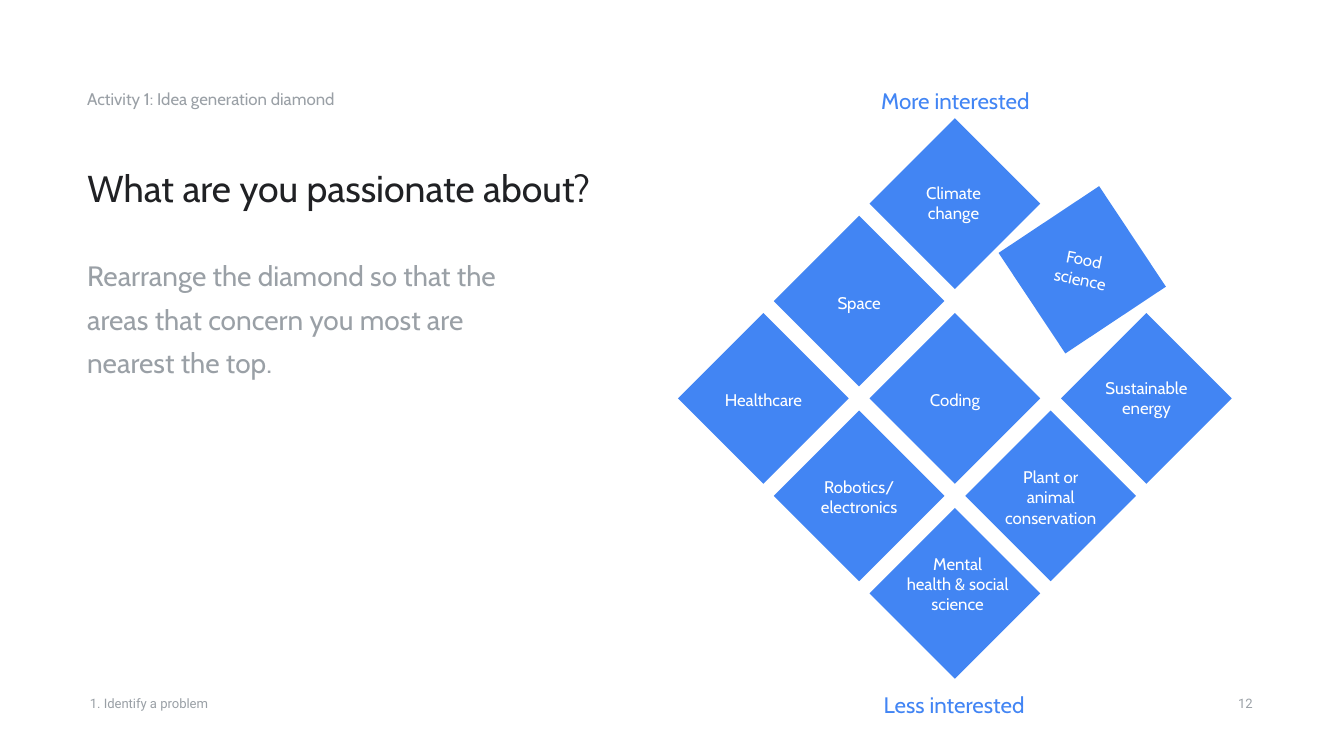
from dataclasses import dataclass
from typing import Optional

from pptx import Presentation
from pptx import util as u
from pptx.dml.color import RGBColor
from pptx.enum import shapes, text

WIDTH = 10
HEIGHT = WIDTH * 9 / 16
COLORS = {"blue": "4285F3", "caption": "4285F4", "ink": "202124",
          "gray": "9AA0A6", "white": "FFFFFF"}

DIAMOND = 1.27
COLUMN, ROW = 2.85 / 4, 2.9 / 4
CENTER_LEFT, TOP = 6.47, 0.88
LABEL_WIDTH, LABEL_HEIGHT = 0.97, 0.5


@dataclass(frozen=True)
class Style:
    size: float
    color: str
    font: str = "Cabin"
    align: text.PP_ALIGN = text.PP_ALIGN.LEFT
    anchor: text.MSO_ANCHOR = text.MSO_ANCHOR.TOP
    spacing: float = 1.0


@dataclass(frozen=True)
class Copy:
    words: str
    left: float
    top: float
    width: float
    height: float
    style: Style


@dataclass(frozen=True)
class Idea:
    words: str
    column: float
    row: float
    label_drop: float
    label_indent: float = 0.15
    tilt: float = 0


HEADING = Style(20, "ink", spacing=1.2)
BODY = Style(15, "gray", spacing=1.3)
ACTIVITY = Style(9, "gray", spacing=1.2)
CAPTION = Style(12, "caption", align=text.PP_ALIGN.CENTER, spacing=1.15)
LABEL = Style(9, "white", align=text.PP_ALIGN.CENTER)
FOOTER = Style(7, "gray", "Roboto", anchor=text.MSO_ANCHOR.MIDDLE)
PAGE = Style(7, "gray", "Roboto", text.PP_ALIGN.RIGHT, text.MSO_ANCHOR.MIDDLE)

QUESTION = Copy("What are you passionate about?", 5.5, 18.85, 47, 9.07, HEADING)
COPIES = [
    Copy("Rearrange the diamond so that the areas that concern you most are "
         "nearest the top.", 5.5, 31.11, 35.8, 53.87, BODY),
    Copy("More interested", 57.3, 9.25, 27.6, 8.89, CAPTION),
    Copy("Less interested", 57.2, 89.07, 27.6, 10.67, CAPTION),
    Copy("Activity 1: Idea generation diamond", 5.5, 9.42, 53.9, 11.2, ACTIVITY),
    Copy("12", 87.8, 89.24, 6.4, 7.65, PAGE),
    Copy("1. Identify a problem", 5.7, 89.24, 28.9, 7.65, FOOTER),
]

IDEAS = [
    Idea("Climate change", 0, 0, 0.38, 0.14),
    Idea("Space", -1, 1, 0.47),
    Idea("Food\nscience", 1.33, 0.68, 0.38, tilt=11.4),
    Idea("Coding", 0, 2, 0.47),
    Idea("Sustainable energy", 2, 2, 0.38),
    Idea("Plant or animal conservation", 1, 3, 0.32),
    Idea("Healthcare", -2, 2, 0.47),
    Idea("Robotics/\nelectronics", -1, 3, 0.39),
    Idea("Mental\nhealth & social science", 0, 4, 0.24, 0.17),
]


def color(name: str) -> RGBColor:
    return RGBColor.from_string(COLORS[name])


def write(box, words: str, style: Style) -> None:
    frame = box.text_frame
    frame.word_wrap = True
    frame.auto_size = text.MSO_AUTO_SIZE.NONE
    frame.vertical_anchor = style.anchor
    frame.margin_left = frame.margin_right = u.Inches(0.1)
    frame.margin_top = frame.margin_bottom = u.Inches(0.1)
    paragraph = frame.paragraphs[0]
    paragraph.alignment = style.align
    paragraph.line_spacing = style.spacing
    for index, line in enumerate(words.split("\n")):
        if index:
            paragraph.add_line_break()
        run = paragraph.add_run()
        run.text = line
        run.font.name = style.font
        run.font.size = u.Pt(style.size)
        run.font.color.rgb = color(style.color)


def add_copy(slide, copy: Copy, placeholder: Optional[object] = None) -> None:
    box = placeholder or slide.shapes.add_textbox(0, 0, 0, 0)
    box.left = u.Inches(WIDTH * copy.left / 100)
    box.top = u.Inches(HEIGHT * copy.top / 100)
    box.width = u.Inches(WIDTH * copy.width / 100)
    box.height = u.Inches(HEIGHT * copy.height / 100)
    write(box, copy.words, copy.style)


def add_diamond(slide, idea: Idea) -> None:
    diamond = slide.shapes.add_shape(
        shapes.MSO_SHAPE.DIAMOND,
        u.Inches(CENTER_LEFT + idea.column * COLUMN),
        u.Inches(TOP + idea.row * ROW),
        u.Inches(DIAMOND), u.Inches(DIAMOND))
    diamond.rotation = idea.tilt
    diamond.shadow.inherit = False
    diamond.fill.solid()
    diamond.fill.fore_color.rgb = color("blue")
    diamond.line.fill.background()


def add_label(slide, idea: Idea) -> None:
    label = slide.shapes.add_textbox(
        u.Inches(CENTER_LEFT + idea.column * COLUMN + idea.label_indent),
        u.Inches(TOP + idea.row * ROW + idea.label_drop),
        u.Inches(LABEL_WIDTH), u.Inches(LABEL_HEIGHT))
    label.rotation = idea.tilt
    write(label, idea.words, LABEL)


def main() -> None:
    deck = Presentation()
    deck.slide_width, deck.slide_height = u.Inches(WIDTH), u.Inches(HEIGHT)
    slide = deck.slides.add_slide(deck.slide_layouts[5])
    add_copy(slide, QUESTION, slide.shapes.title)
    for idea in IDEAS:
        add_diamond(slide, idea)
    for idea in IDEAS:
        add_label(slide, idea)
    for copy in COPIES:
        add_copy(slide, copy)
    deck.save("out.pptx")


if __name__ == "__main__":
    main()
